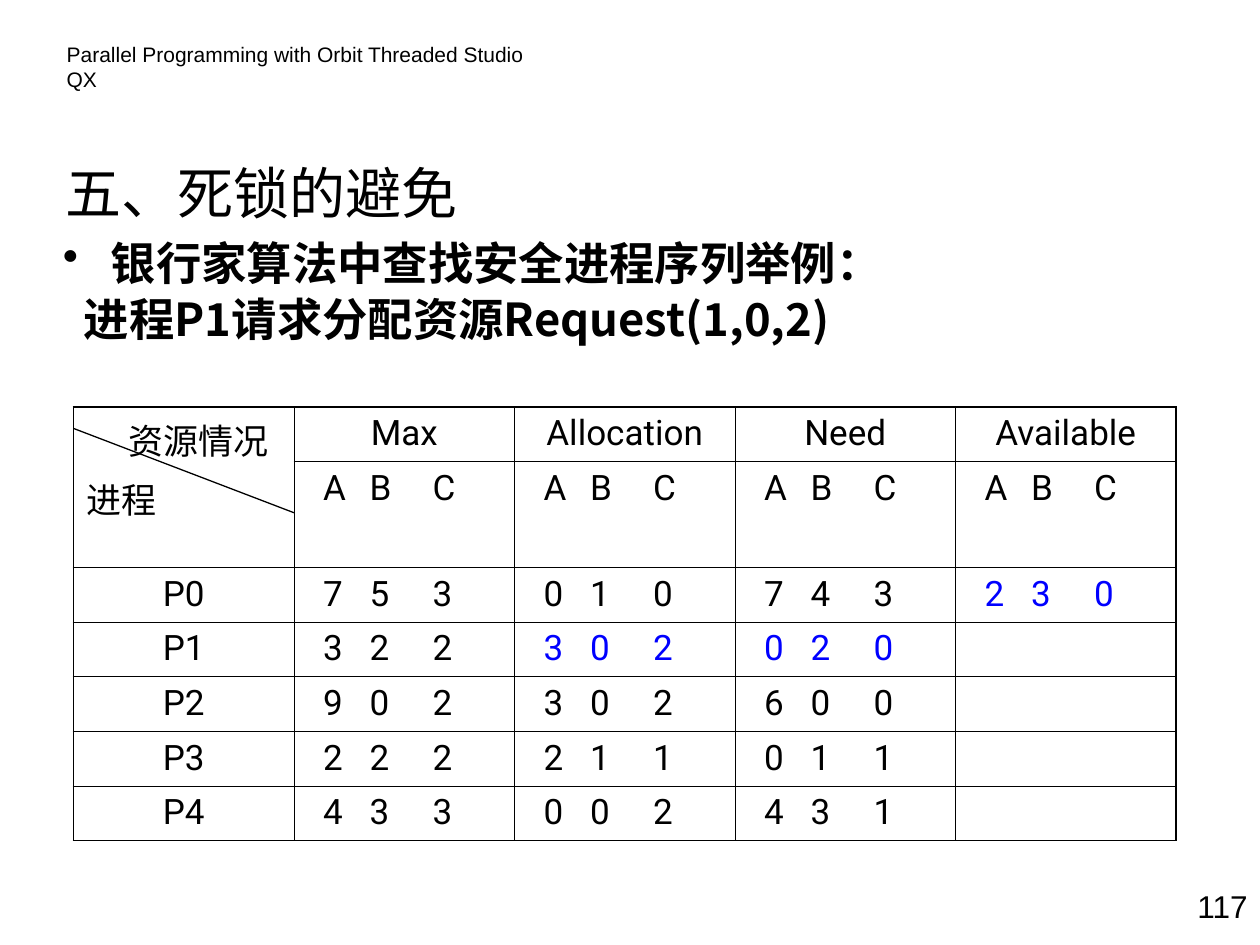
import pptx
import pptx.dml.color
import pptx.enum.text
import pptx.oxml.ns
import pptx.util
from lxml import etree

Pt = pptx.util.Pt
qn = pptx.oxml.ns.qn
ALIGN = pptx.enum.text.PP_ALIGN
MIDDLE = pptx.enum.text.MSO_ANCHOR.MIDDLE
BLACK = pptx.dml.color.RGBColor(0, 0, 0)
BLUE = pptx.dml.color.RGBColor(0, 0, 255)
CJK = "Noto Sans CJK SC"


def style(para, size, face, color=BLACK, bold=False):
    for run in para.runs:
        font = run.font
        font.size, font.name, font.bold = Pt(size), face, bold
        font.color.rgb = color
        if face == CJK:
            etree.SubElement(font._element, qn("a:ea"), typeface=face)


def indent(para, left, first, bullet=None, tabs=()):
    """Set the left margin, first-line indent, bullet and tab stops."""
    props = para._p.get_or_add_pPr()
    props.set("marL", str(Pt(left)))
    props.set("indent", str(Pt(first)))
    if bullet:
        etree.SubElement(props, qn("a:buChar"), char=bullet)
    else:
        etree.SubElement(props, qn("a:buNone"))
    if tabs:
        stops = etree.SubElement(props, qn("a:tabLst"))
        for stop in tabs:
            etree.SubElement(stops, qn("a:tab"), pos=str(Pt(stop)), algn="l")


deck = pptx.Presentation()
deck.slide_width, deck.slide_height = Pt(720), Pt(540)
slide = deck.slides.add_slide(deck.slide_layouts[5])
shapes = slide.shapes

# Title
title = shapes.title
title.left, title.top, title.width, title.height = Pt(30.24), Pt(82.8), Pt(648), Pt(54)
title.text_frame.text = "五、死锁的避免"
title.text_frame.vertical_anchor = MIDDLE
para = title.text_frame.paragraphs[0]
para.alignment = ALIGN.LEFT
style(para, 32, CJK)

# Running header and page number
for text, left, top, width, height, size, align in (
    ("Parallel Programming with Orbit Threaded Studio QX", 31, 20, 295, 21.6, 12, ALIGN.LEFT),
    ("117", 653.8, 503.3, 66.2, 28.8, 18, ALIGN.RIGHT),
):
    box = shapes.add_textbox(Pt(left), Pt(top), Pt(width), Pt(height))
    box.text_frame.word_wrap = True
    box.text_frame.text = text
    para = box.text_frame.paragraphs[0]
    para.alignment = align
    style(para, size, "Arial")

# Lead lines
lead = shapes.add_textbox(Pt(36), Pt(136.8), Pt(684), Pt(66.2)).text_frame
lead.word_wrap = True
lead.margin_left = lead.margin_right = 0
lead.text = "银行家算法中查找安全进程序列举例：\n进程P1请求分配资源Request(1,0,2)"
for para in lead.paragraphs:
    para.line_spacing = 0.8
    style(para, 25.9, CJK, bold=True)
lead.paragraphs[1].space_before = Pt(7)
indent(lead.paragraphs[0], 27.36, -27.36, "•")
indent(lead.paragraphs[1], 27.36, -15.36)

# Resource table
rows = [
    ["资源情况\n进程", "Max", "Allocation", "Need", "Available"],
    [""] + ["A B C"] * 4,
    ["P0", "7 5 3", "0 1 0", "7 4 3", "2 3 0"],
    ["P1", "3 2 2", "3 0 2", "0 2 0", ""],
    ["P2", "9 0 2", "3 0 2", "6 0 0", ""],
    ["P3", "2 2 2", "2 1 1", "0 1 1", ""],
    ["P4", "4 3 3", "0 0 2", "4 3 1", ""],
]
changed = {(2, 4), (3, 2), (3, 3)}
last, end = len(rows) - 1, len(rows[0]) - 1
frame = shapes.add_table(len(rows), len(rows[0]), Pt(42), Pt(232.6), Pt(630), Pt(218.9))
table = frame.table
table.first_row = table.horz_banding = False
for col in table.columns:
    col.width = Pt(126)
for r, row in enumerate(table.rows):
    row.height = Pt(60.3 if r == 1 else 31.2)

for r, row in enumerate(rows):
    for c, text in enumerate(row):
        cell = table.cell(r, c)
        cell.fill.background()
        props = cell._tc.get_or_add_tcPr()
        edges = (("L", c == 0), ("R", c == end), ("T", r == 0), ("B", r == last))
        for n, (side, outer) in enumerate(edges):
            line = etree.Element(qn("a:ln" + side), w=str(Pt(1.08 if outer else 0.45)))
            fill = etree.SubElement(line, qn("a:solidFill"))
            etree.SubElement(fill, qn("a:srgbClr"), val=str(BLACK))
            props.insert(n, line)
        if not text:
            continue
        triple = r > 0 and c > 0
        cell.text_frame.text = text.replace(" ", "\t") if triple else text
        for para in cell.text_frame.paragraphs:
            if triple:
                indent(para, 0, 9.5, tabs=(42.5, 75) if r == 1 else (40.5, 71.5))
            elif r or c:
                para.alignment = ALIGN.CENTER
            style(para, 20, "Roboto", BLUE if (r, c) in changed else BLACK)

corner = table.cell(0, 0)
corner.merge(table.cell(1, 0))
above, below = corner.text_frame.paragraphs
indent(above, 0, 24)
below.space_before = Pt(5)

# Diagonal of the corner cell
slash = shapes.add_connector(1, Pt(42), Pt(244.8), Pt(168), Pt(293))
slash.line.color.rgb = BLACK
slash.line.width = Pt(0.75)
etree.SubElement(slash._element.spPr, qn("a:effectLst"))

deck.save("out.pptx")
